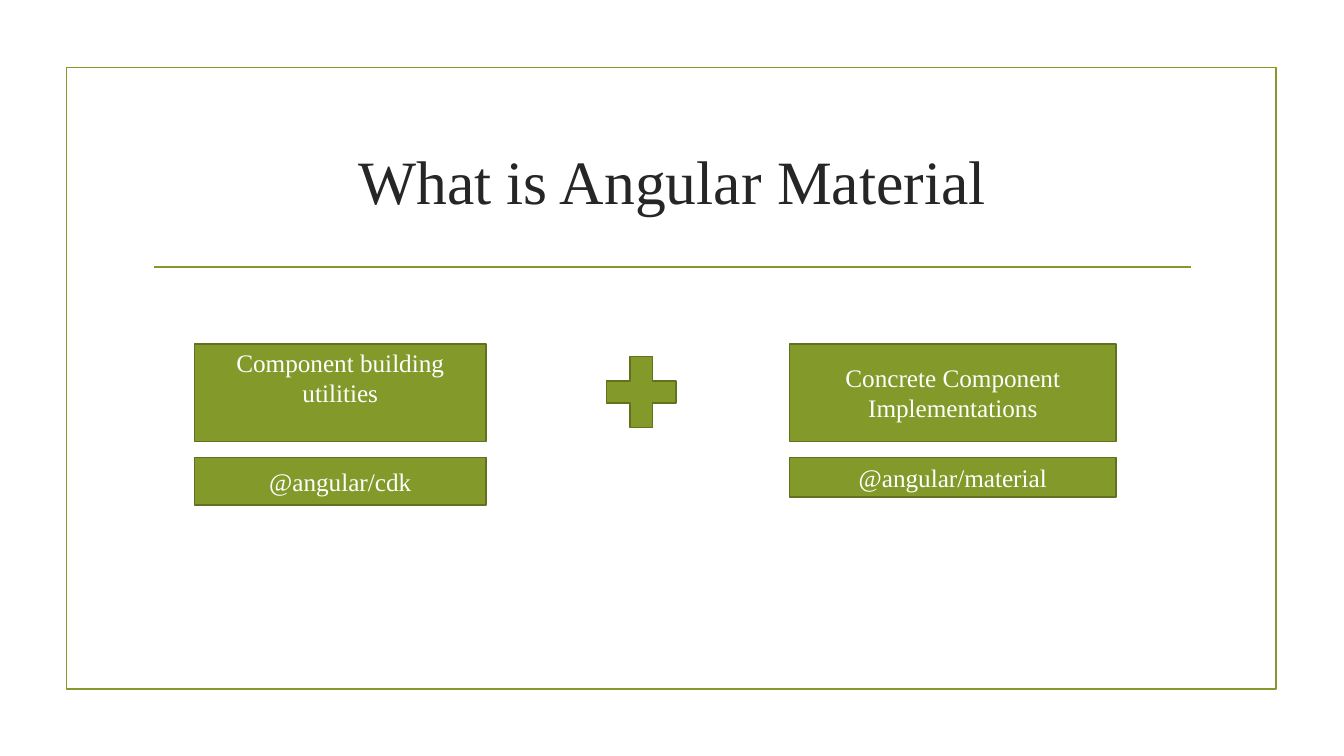
"""Build the slide that shows the two parts of Angular Material."""
from dataclasses import dataclass

from lxml.etree import SubElement
from pptx import Presentation
from pptx.dml.color import RGBColor as Rgb
from pptx.enum.shapes import MSO_CONNECTOR as Link, MSO_SHAPE as Kind
from pptx.enum.text import MSO_ANCHOR as Anchor, PP_ALIGN as Align
from pptx.oxml.ns import qn
from pptx.util import Inches, Pt

WIDE, HIGH = 13.33, 7.5


@dataclass(frozen=True)
class Theme:
    """Colours, font, type sizes and line width."""
    green: str = "83992A"
    edge: str = "61711F"
    ink: str = "262626"
    white: str = "FFFFFF"
    font: str = "Times New Roman"
    head: int = 44
    body: int = 18
    rule: float = 1.25


LOOK = Theme()


def across(share):
    """Turn a percentage of the slide width into a length."""
    return Inches(WIDE * share / 100)


def down(share):
    """Turn a percentage of the slide height into a length."""
    return Inches(HIGH * share / 100)


def area(x, y, w, h):
    """Turn shares of the slide into left, top, width and height."""
    return across(x), down(y), across(w), down(h)


def ink(line, tone):
    """Set the colour and width of a line."""
    line.color.rgb = Rgb.from_string(tone)
    line.width = Pt(LOOK.rule)


def write(shape, text, size, tone):
    """Put one centred run of text in a shape."""
    frame = shape.text_frame
    frame.word_wrap = True
    frame.vertical_anchor = Anchor.MIDDLE
    par = frame.paragraphs[0]
    par.alignment = Align.CENTER
    run = par.add_run()
    run.text = text
    run.font.name = LOOK.font
    run.font.size = Pt(size)
    run.font.color.rgb = Rgb.from_string(tone)


def block(slide, kind, place, fill=LOOK.green, edge=LOOK.edge):
    """Draw a preset shape, hollow when it has no fill."""
    shape = slide.shapes.add_shape(kind, *area(*place))
    shape.shadow.inherit = False
    if fill:
        shape.fill.solid()
        shape.fill.fore_color.rgb = Rgb.from_string(fill)
    else:
        shape.fill.background()
    ink(shape.line, edge)
    return shape


def label(slide, text, place):
    """Draw a green box with white text."""
    box = block(slide, Kind.RECTANGLE, place)
    write(box, text, LOOK.body, LOOK.white)
    return box


def divide(slide, left, right, y):
    """Draw the level rule below the title."""
    line = slide.shapes.add_connector(
        Link.STRAIGHT, across(left), down(y), across(right), down(y))
    ink(line.line, LOOK.green)
    SubElement(line._element.spPr, qn("a:effectLst"))


def name(slide, text, place):
    """Place and format the title."""
    title = slide.shapes.title
    title.left, title.top, title.width, title.height = area(*place)
    write(title, text, LOOK.head, LOOK.ink)


def main():
    """Build and save the slide."""
    deck = Presentation()
    deck.slide_width, deck.slide_height = Inches(WIDE), Inches(HIGH)
    slide = deck.slides.add_slide(deck.slide_layouts[5])

    block(slide, Kind.RECTANGLE, (4.95, 8.93, 90.02, 82.27), None, LOOK.green)
    divide(slide, 11.48, 88.6, 35.33)
    name(slide, "What is Angular Material", (10.65, 14.27, 78.77, 19.07))

    top, low, tall = 45.47, 60.53, 12.93
    parts = (
        (14.48, 21.68, "Component building utilities", 4.67, "@angular/cdk", 6.27),
        (58.74, 24.31, "Concrete Component Implementations", 0.67, "@angular/material", 5.2),
    )
    for x, w, role, pad, pack, h in parts:
        box = label(slide, role, (x, top, w, tall))
        box.text_frame.margin_bottom = down(pad)
        label(slide, pack, (x, low, w, h))
    block(slide, Kind.MATH_PLUS, (44.19, top, 7.05, 12.8))

    deck.save("out.pptx")


if __name__ == "__main__":
    main()
